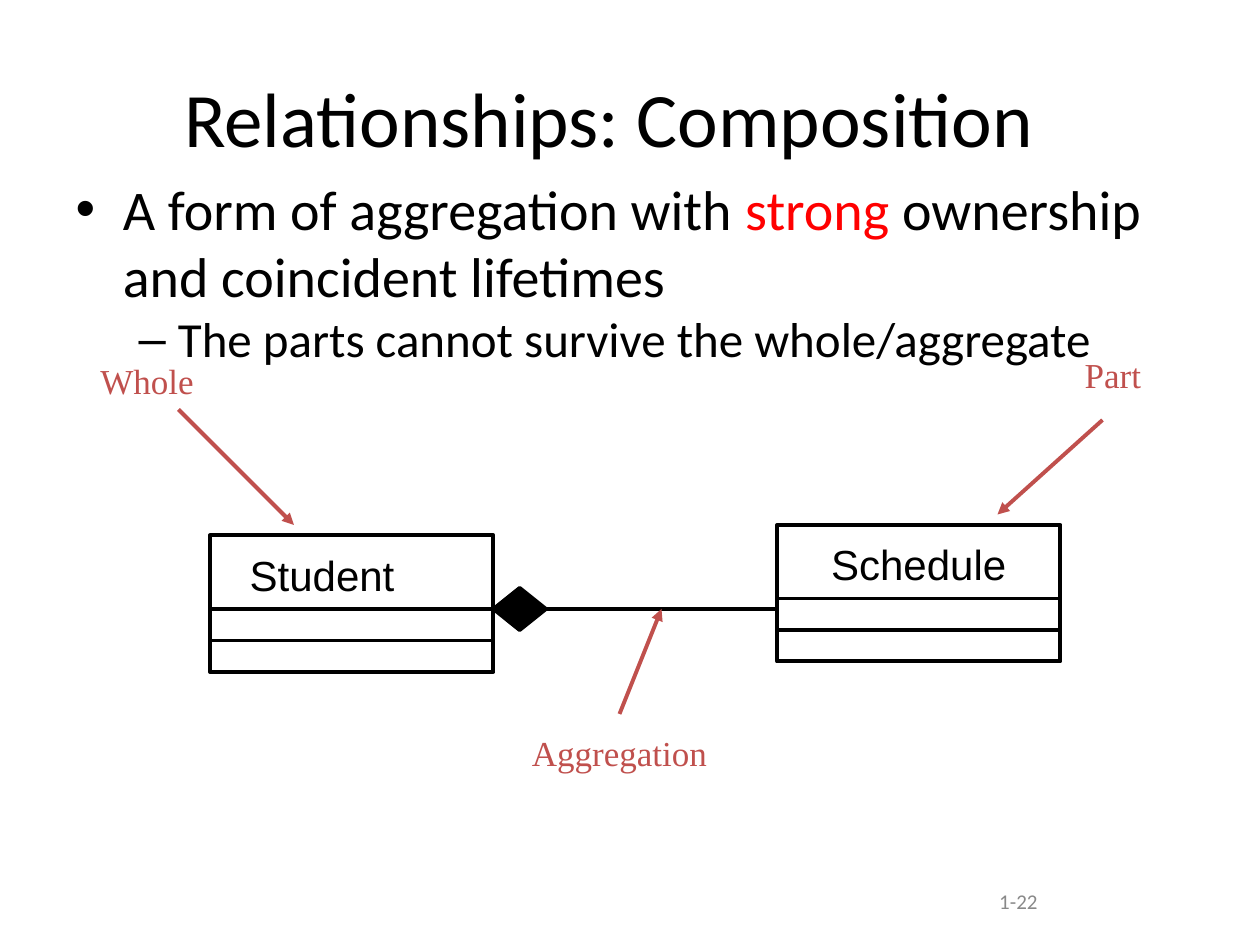
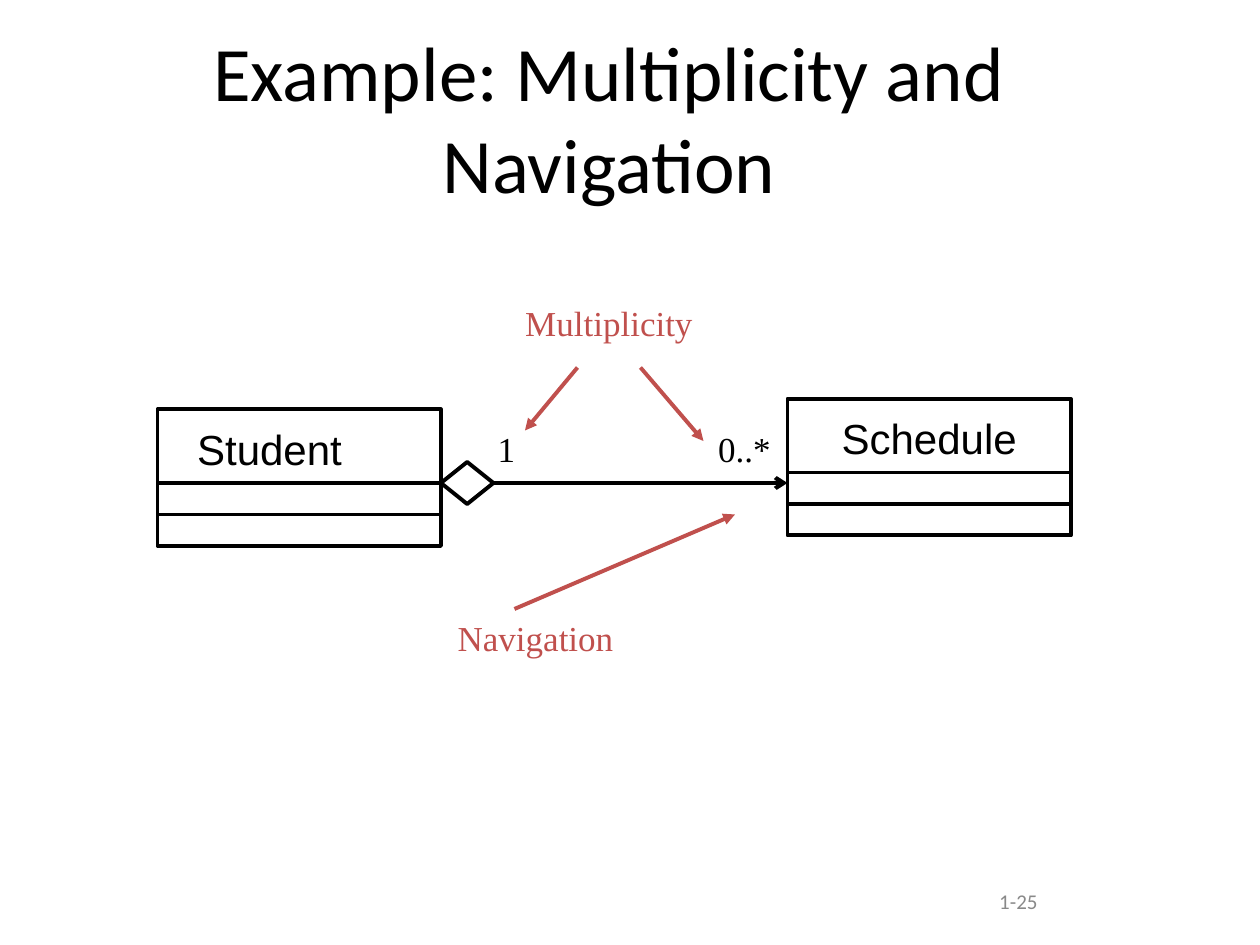
from lxml.etree import SubElement
from pptx import Presentation
from pptx.dml.color import RGBColor
from pptx.enum.shapes import MSO_CONNECTOR, MSO_SHAPE
from pptx.enum.text import MSO_ANCHOR, MSO_AUTO_SIZE, PP_ALIGN
from pptx.oxml.ns import qn
from pptx.util import Pt

PX = 7620
BLACK, RED, ACCENT, GREY = "000000", "FF0000", "C0504D", "898989"
LEFT, CENTER, RIGHT = PP_ALIGN.LEFT, PP_ALIGN.CENTER, PP_ALIGN.RIGHT
TITLE_AREA = (60, 36, 1040, 150)
BODY_AREA = (60, 160, 1080, 594)
NUMBER_AREA = (860, 834, 140, 48)
CLASS_WIDTH, CLASS_HEIGHT, DIVIDERS = 270, 130, (70, 100)
DIAMOND_WIDTH, DIAMOND_HEIGHT = 50, 40
LABEL_HEIGHT = 54

SLIDES = [
    {
        "layout": 1,
        "title": "Relationships: Composition",
        "number": "1-22",
        "points": [
            (0, 32, 8, [("A form of aggregation with ", BLACK), ("strong", RED),
                        (" ownership and coincident lifetimes", BLACK)]),
            (1, 28, 0, [("The parts cannot survive the whole/aggregate", BLACK)]),
        ],
        "student": (200, 510),
        "schedule": (740, 500),
        "diamond_fill": BLACK,
        "navigation": None,
        "labels": [
            ("Whole", 0, 335, 280, CENTER, ACCENT),
            ("Aggregation", 450, 690, 280, CENTER, ACCENT),
            ("Part", 920, 330, 280, CENTER, ACCENT),
        ],
        "pointers": [((170, 390), (280, 500)), ((590, 680), (630, 580)),
                     ((1050, 400), (950, 490))],
    },
    {
        "layout": 5,
        "title": "Example: Multiplicity and Navigation",
        "number": "1-25",
        "points": [],
        "student": (150, 390),
        "schedule": (750, 380),
        "diamond_fill": None,
        "navigation": "arrow",
        "labels": [
            ("1", 460, 400, 208, LEFT, BLACK),
            ("0..*", 540, 400, 208, RIGHT, BLACK),
            ("Multiplicity", 350, 280, 460, CENTER, ACCENT),
            ("Navigation", 280, 580, 460, CENTER, ACCENT),
        ],
        "pointers": [((610, 350), (670, 420)), ((550, 350), (500, 410)),
                     ((490, 580), (700, 490))],
    },
]


def rgb(code):
    """Turn a hex string into a colour."""
    return RGBColor.from_string(code)


def emu(*lengths):
    """Turn px lengths into EMU."""
    return [length * PX for length in lengths]


def write(paragraph, text, font="Calibri", size=12, color=BLACK, align=LEFT, before=0):
    """Add one formatted run to a paragraph."""
    run = paragraph.add_run()
    run.text = text
    run.font.name, run.font.size = font, Pt(size)
    run.font.color.rgb = rgb(color)
    paragraph.alignment, paragraph.space_before = align, Pt(before)


def place(placeholder, area):
    """Move a placeholder to an area and return its text frame."""
    placeholder.left, placeholder.top, placeholder.width, placeholder.height = emu(*area)
    frame = placeholder.text_frame
    frame.auto_size = MSO_AUTO_SIZE.NONE
    return frame


def add_label(shapes, area, text, inset=(12, 6), grow=True, **form):
    """Add a wrapped text box."""
    frame = shapes.add_textbox(*emu(*area)).text_frame
    frame.word_wrap = True
    frame.margin_left = frame.margin_right = inset[0] * PX
    frame.margin_top = frame.margin_bottom = inset[1] * PX
    frame.auto_size = MSO_AUTO_SIZE.SHAPE_TO_FIT_TEXT if grow else MSO_AUTO_SIZE.NONE
    frame.vertical_anchor = MSO_ANCHOR.TOP if grow else MSO_ANCHOR.MIDDLE
    write(frame.paragraphs[0], text, **form)


def add_outline(shapes, preset, area, fill=None):
    """Add a black outlined shape, filled on request."""
    outline = shapes.add_shape(preset, *emu(*area))
    outline.shadow.inherit = False
    outline.line.color.rgb, outline.line.width = rgb(BLACK), Pt(2.25)
    if fill:
        outline.fill.solid()
        outline.fill.fore_color.rgb = rgb(fill)
    else:
        outline.fill.background()


def add_line(shapes, start, end, color=BLACK, head=None):
    """Add a straight line with an optional arrowhead at its end."""
    line = shapes.add_connector(MSO_CONNECTOR.STRAIGHT, *emu(*start, *end))
    line.line.color.rgb, line.line.width = rgb(color), Pt(2.25)
    if head:
        SubElement(line.line._get_or_add_ln(), qn("a:tailEnd"), type=head)
    SubElement(line._element.spPr, qn("a:effectLst"))


def add_class(slide, name, corner, align):
    """Add a grouped class box with its name and two dividers."""
    left, top = corner
    members = slide.shapes.add_group_shape().shapes
    add_outline(members, MSO_SHAPE.RECTANGLE, (left, top, CLASS_WIDTH, CLASS_HEIGHT))
    add_label(members, (left + 26, top + 7, 218, 60), name,
              font="Arial", size=24, align=align, before=15)
    for offset in DIVIDERS:
        add_line(members, (left, top + offset), (left + CLASS_WIDTH, top + offset))


def add_association(slide, student, schedule, fill, head):
    """Join the two classes with a diamond and a line."""
    left, middle = student[0] + CLASS_WIDTH, student[1] + DIVIDERS[0]
    add_line(slide.shapes, (left + DIAMOND_WIDTH, middle), (schedule[0], middle), head=head)
    add_outline(slide.shapes, MSO_SHAPE.DIAMOND,
                (left, middle - DIAMOND_HEIGHT // 2, DIAMOND_WIDTH, DIAMOND_HEIGHT), fill)


def add_points(slide, points):
    """Fill the body placeholder with bulleted points."""
    frame = place(slide.placeholders[1], BODY_AREA)
    for index, (level, size, before, parts) in enumerate(points):
        paragraph = frame.add_paragraph() if index else frame.paragraphs[0]
        paragraph.level = level
        for text, color in parts:
            write(paragraph, text, size=size, color=color, before=before)


def build_slide(deck, content):
    """Build one class diagram slide."""
    slide = deck.slides.add_slide(deck.slide_layouts[content["layout"]])
    title = place(slide.shapes.title, TITLE_AREA)
    title.vertical_anchor = MSO_ANCHOR.MIDDLE
    write(title.paragraphs[0], content["title"], size=44, align=CENTER)
    if content["points"]:
        add_points(slide, content["points"])
    add_class(slide, "Student", content["student"], LEFT)
    add_class(slide, "Schedule", content["schedule"], CENTER)
    add_association(slide, content["student"], content["schedule"],
                    content["diamond_fill"], content["navigation"])
    for text, left, top, width, align, color in content["labels"]:
        add_label(slide.shapes, (left, top, width, LABEL_HEIGHT), text, inset=(14, 7),
                  font="Times New Roman", size=20, color=color, align=align, before=12.5)
    for start, end in content["pointers"]:
        add_line(slide.shapes, start, end, color=ACCENT, head="triangle")
    add_label(slide.shapes, NUMBER_AREA, content["number"], grow=False,
              color=GREY, align=RIGHT)


def main():
    """Build and save the deck."""
    deck = Presentation()
    deck.slide_width, deck.slide_height = emu(1200, 900)
    for content in SLIDES:
        build_slide(deck, content)
    deck.save("out.pptx")


if __name__ == "__main__":
    main()
